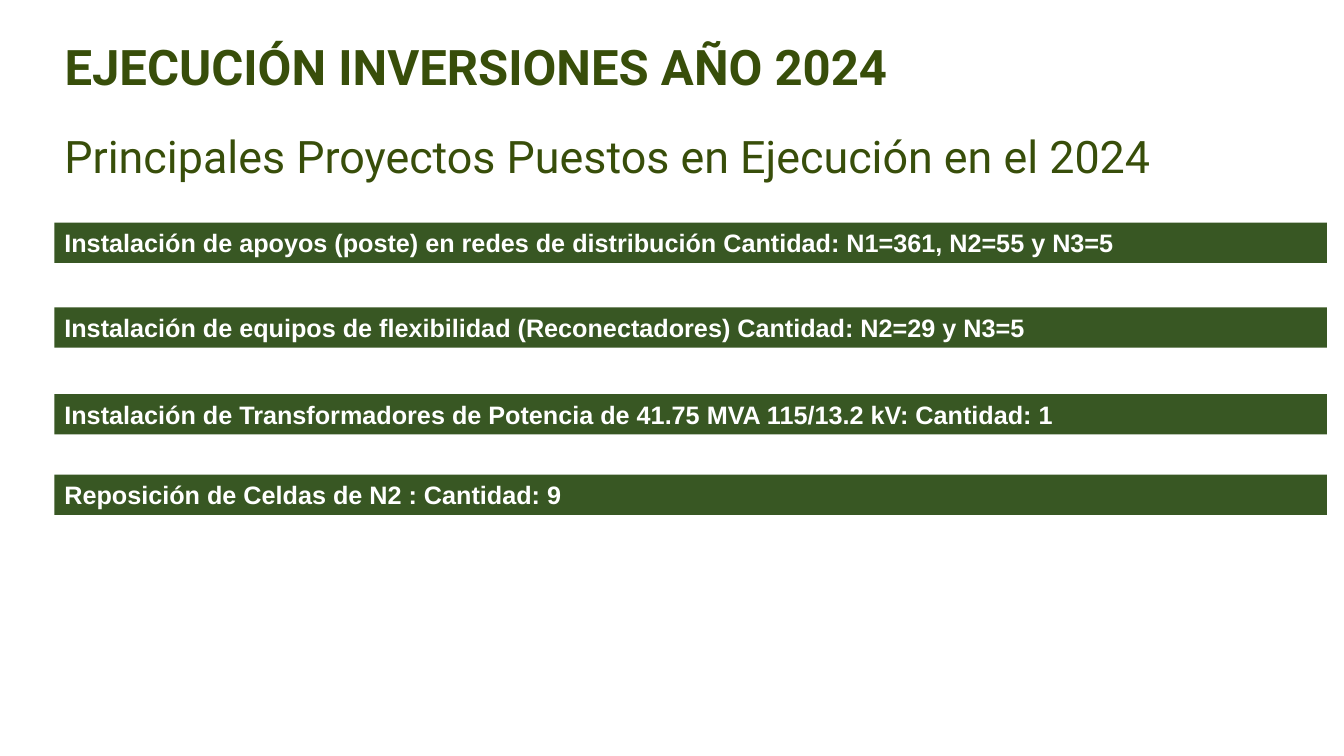
from dataclasses import dataclass

from pptx import Presentation
from pptx.dml.color import RGBColor
from pptx.enum.shapes import MSO_SHAPE
from pptx.enum.text import MSO_ANCHOR, MSO_AUTO_SIZE, PP_ALIGN
from pptx.shapes.autoshape import Shape
from pptx.slide import Slide
from pptx.util import Emu, Inches, Pt


@dataclass(frozen=True)
class TextStyle:
    font: str
    size: float
    color: RGBColor
    bold: bool


@dataclass(frozen=True)
class Theme:
    bar_fill: RGBColor
    title: TextStyle
    subtitle: TextStyle
    project: TextStyle


@dataclass(frozen=True)
class Area:
    column: float
    row: float
    columns: float
    rows: float


@dataclass(frozen=True)
class Project:
    row: float
    description: str


OLIVE = RGBColor(0x38, 0x4E, 0x0A)
THEME = Theme(
    bar_fill=RGBColor(0x38, 0x57, 0x23),
    title=TextStyle("Roboto", 35, OLIVE, True),
    subtitle=TextStyle("Roboto", 32, OLIVE, False),
    project=TextStyle("Arial", 18, RGBColor(0xFF, 0xFF, 0xFF), True),
)

SLIDE_WIDTH, SLIDE_HEIGHT = Inches(13.33), Inches(7.5)
GRID_COLUMNS, GRID_ROWS = 133.3, 75
LEFT_COLUMN = 5.4
HEADING_COLUMNS = 110.8
BAR_COLUMNS, BAR_ROWS = 126.2, 4

TITLE_AREA = Area(LEFT_COLUMN, 3.1, HEADING_COLUMNS, 6.9)
SUBTITLE_AREA = Area(LEFT_COLUMN, 12.3, HEADING_COLUMNS, 6.4)

PROJECTS = (
    Project(22.1, "Instalación de apoyos (poste) en redes de distribución Cantidad: N1=361, N2=55 y N3=5"),
    Project(30.5, "Instalación de equipos de flexibilidad (Reconectadores) Cantidad: N2=29 y N3=5"),
    Project(39.1, "Instalación de Transformadores de Potencia de 41.75 MVA 115/13.2 kV: Cantidad: 1"),
    Project(47.1, "Reposición de Celdas de N2 : Cantidad: 9"),
)


def bounds(area: Area) -> tuple[Emu, Emu, Emu, Emu]:
    column_width = SLIDE_WIDTH / GRID_COLUMNS
    row_height = SLIDE_HEIGHT / GRID_ROWS
    return (
        Emu(round(area.column * column_width)),
        Emu(round(area.row * row_height)),
        Emu(round(area.columns * column_width)),
        Emu(round(area.rows * row_height)),
    )


def write(shape: Shape, text: str, style: TextStyle) -> None:
    frame = shape.text_frame
    frame.text = text
    frame.word_wrap = True
    frame.auto_size = MSO_AUTO_SIZE.SHAPE_TO_FIT_TEXT
    frame.vertical_anchor = MSO_ANCHOR.TOP
    paragraph = frame.paragraphs[0]
    paragraph.alignment = PP_ALIGN.LEFT
    for run in paragraph.runs:
        run.font.name = style.font
        run.font.size = Pt(style.size)
        run.font.bold = style.bold
        run.font.color.rgb = style.color


def draw_title(slide: Slide, text: str) -> None:
    title = slide.shapes.title
    title.left, title.top, title.width, title.height = bounds(TITLE_AREA)
    write(title, text, THEME.title)


def draw_subtitle(slide: Slide, text: str) -> None:
    subtitle = slide.shapes.add_textbox(*bounds(SUBTITLE_AREA))
    write(subtitle, text, THEME.subtitle)


def draw_project(slide: Slide, project: Project) -> None:
    area = Area(LEFT_COLUMN, project.row, BAR_COLUMNS, BAR_ROWS)
    bar = slide.shapes.add_shape(MSO_SHAPE.RECTANGLE, *bounds(area))
    bar.shadow.inherit = False
    bar.fill.solid()
    bar.fill.fore_color.rgb = THEME.bar_fill
    bar.line.fill.background()
    write(bar, project.description, THEME.project)


def main() -> None:
    presentation = Presentation()
    presentation.slide_width = SLIDE_WIDTH
    presentation.slide_height = SLIDE_HEIGHT
    slide = presentation.slides.add_slide(presentation.slide_layouts.get_by_name("Title Only"))
    draw_title(slide, "EJECUCIÓN INVERSIONES AÑO 2024")
    draw_subtitle(slide, "Principales Proyectos Puestos en Ejecución en el 2024")
    for project in PROJECTS:
        draw_project(slide, project)
    presentation.save("out.pptx")


if __name__ == "__main__":
    main()
